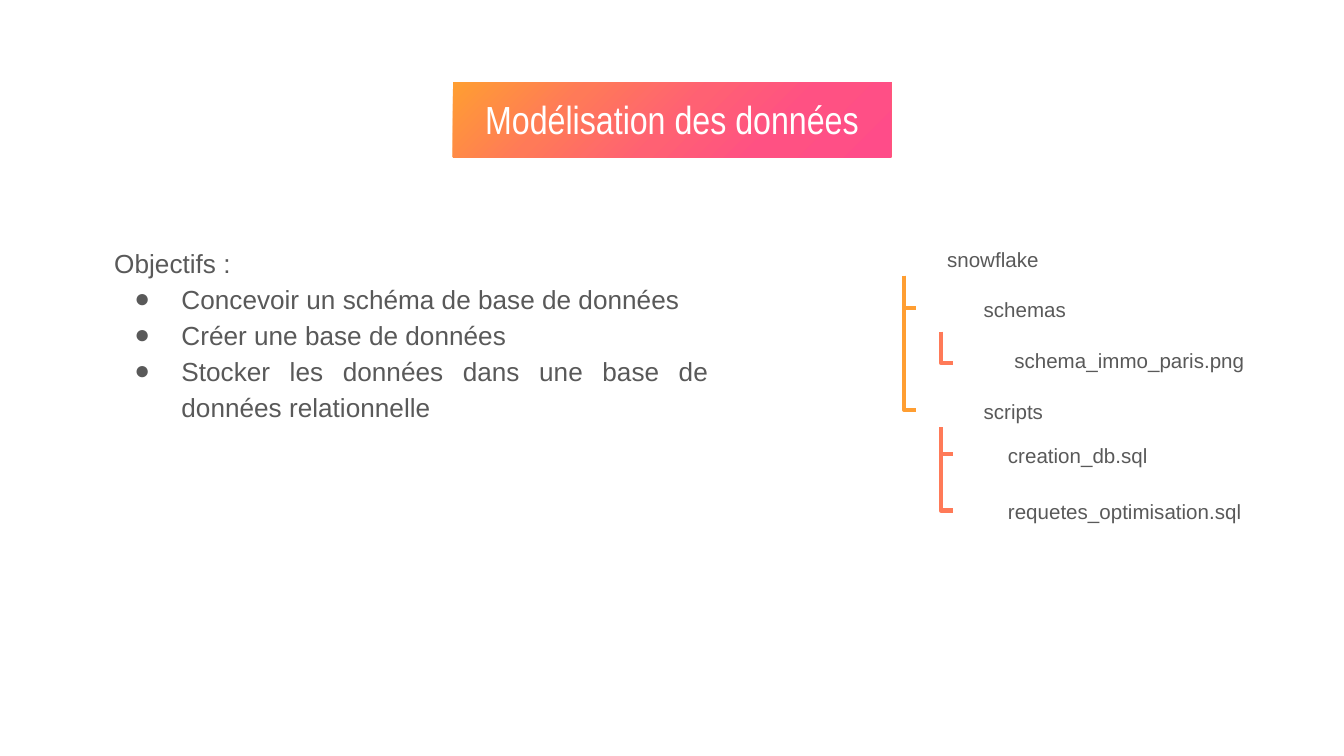
"""Build the data modelling slide: title band, objectives and project file tree."""
from lxml import etree
from pptx import Presentation
from pptx.dml.color import RGBColor
from pptx.enum import shapes, text
from pptx.oxml import ns
from pptx.util import Cm, Pt

COLOURS = {"white": "FFFFFF", "grey": "595959", "amber": "FF9E32", "coral": "FF7A58"}
BAND_STOPS = {0: "FF9E32", 27: "FF7A58", 51: "FF6173", 73: "FF5183", 100: "FF4C89"}
FRAME = {
    "word_wrap": True,
    "auto_size": text.MSO_AUTO_SIZE.NONE,
    "vertical_anchor": text.MSO_ANCHOR.TOP,
    "margin_left": Cm(0.25),
    "margin_right": Cm(0.25),
    "margin_top": Cm(0.25),
    "margin_bottom": Cm(0.25),
}


def add_child(parent, tag, **attributes):
    return etree.SubElement(parent, ns.qn(tag), attributes)


def write(box, lines, size, colour, name="Arial"):
    for key, value in FRAME.items():
        setattr(box.text_frame, key, value)
    for index, line in enumerate(lines):
        para = box.text_frame.paragraphs[0] if index == 0 else box.text_frame.add_paragraph()
        span = para.add_run()
        span.text = line
        for key, value in {"size": Pt(size), "name": name}.items():
            setattr(span.font, key, value)
        span.font.color.rgb = RGBColor.from_string(COLOURS[colour])


deck = Presentation()
deck.slide_width, deck.slide_height = Cm(25.4), Cm(14.29)
page = deck.slides.add_slide(deck.slide_layouts[5])

title = page.shapes.title
place = {"left": Cm(8.56), "top": Cm(1.55), "width": Cm(8.28), "height": Cm(1.42)}
for key, value in place.items():
    setattr(title, key, value)
write(title, ["Modélisation des données"], 21, "white", "Arial Narrow")
title.text_frame.paragraphs[0].alignment = text.PP_ALIGN.CENTER
gradient = add_child(title.element.spPr, "a:gradFill", rotWithShape="1")
stops = add_child(gradient, "a:gsLst")
for percent, colour in BAND_STOPS.items():
    stop = add_child(stops, "a:gs", pos=str(percent * 1000))
    add_child(stop, "a:srgbClr", val=colour)
add_child(gradient, "a:lin", ang=str(45 * 60000), scaled="0")

goals = page.shapes.add_textbox(Cm(1.91), Cm(4.42), Cm(11.73), Cm(3.78))
write(goals, [
    "Objectifs :",
    "Concevoir un schéma de base de données",
    "Créer une base de données",
    "Stocker les données dans une base de données relationnelle",
], 14, "grey")
for para in goals.text_frame.paragraphs[1:]:
    para.alignment = text.PP_ALIGN.JUSTIFY
    para.line_spacing = 1.15
    properties = para._p.get_or_add_pPr()
    properties.set("marL", str(Cm(1.27)))
    properties.set("indent", str(-Cm(0.89)))
    bullet_colour = add_child(properties, "a:buClr")
    add_child(bullet_colour, "a:srgbClr", val=COLOURS["grey"])
    add_child(properties, "a:buSzPts", val="1400")
    add_child(properties, "a:buFont", typeface="Arial")
    add_child(properties, "a:buChar", char="●")

tree = [
    ("snowflake", 17.65, 4.42, 3.63),
    ("schemas", 18.34, 5.36, 2.06),
    ("schema_immo_paris.png", 18.92, 6.32, 5.03),
    ("scripts", 18.34, 7.29, 2.06),
    ("creation_db.sql", 18.8, 8.13, 5.72),
    ("requetes_optimisation.sql", 18.8, 9.19, 5.72),
]
for label, left, top, width in tree:
    entry = page.shapes.add_textbox(Cm(left), Cm(top), Cm(width), Cm(0.99))
    write(entry, [label], 11, "grey")

REACH = 0.23
branches = [
    ("amber", 17.09, 5.21, 7.75),
    ("amber", 17.09, 5.21, 5.82),
    ("coral", 17.78, 6.27, 6.86),
    ("coral", 17.78, 8.08, 8.59),
    ("coral", 17.78, 8.08, 9.65),
]
for colour, left, start, end in branches:
    middle_x, middle_y, half = left + REACH / 2, (start + end) / 2, (end - start) / 2
    branch = page.shapes.add_connector(
        shapes.MSO_CONNECTOR.ELBOW,
        Cm(middle_x + half), Cm(middle_y - REACH / 2),
        Cm(middle_x - half), Cm(middle_y + REACH / 2),
    )
    branch.line.width = Pt(2.25)
    branch.line.color.rgb = RGBColor.from_string(COLOURS[colour])
    outline = branch.element.spPr
    outline.find(ns.qn("a:xfrm")).set("rot", str(270 * 60000))
    outline.find(ns.qn("a:prstGeom")).set("prst", "bentConnector2")
    add_child(outline, "a:effectLst")

deck.save("out.pptx")
